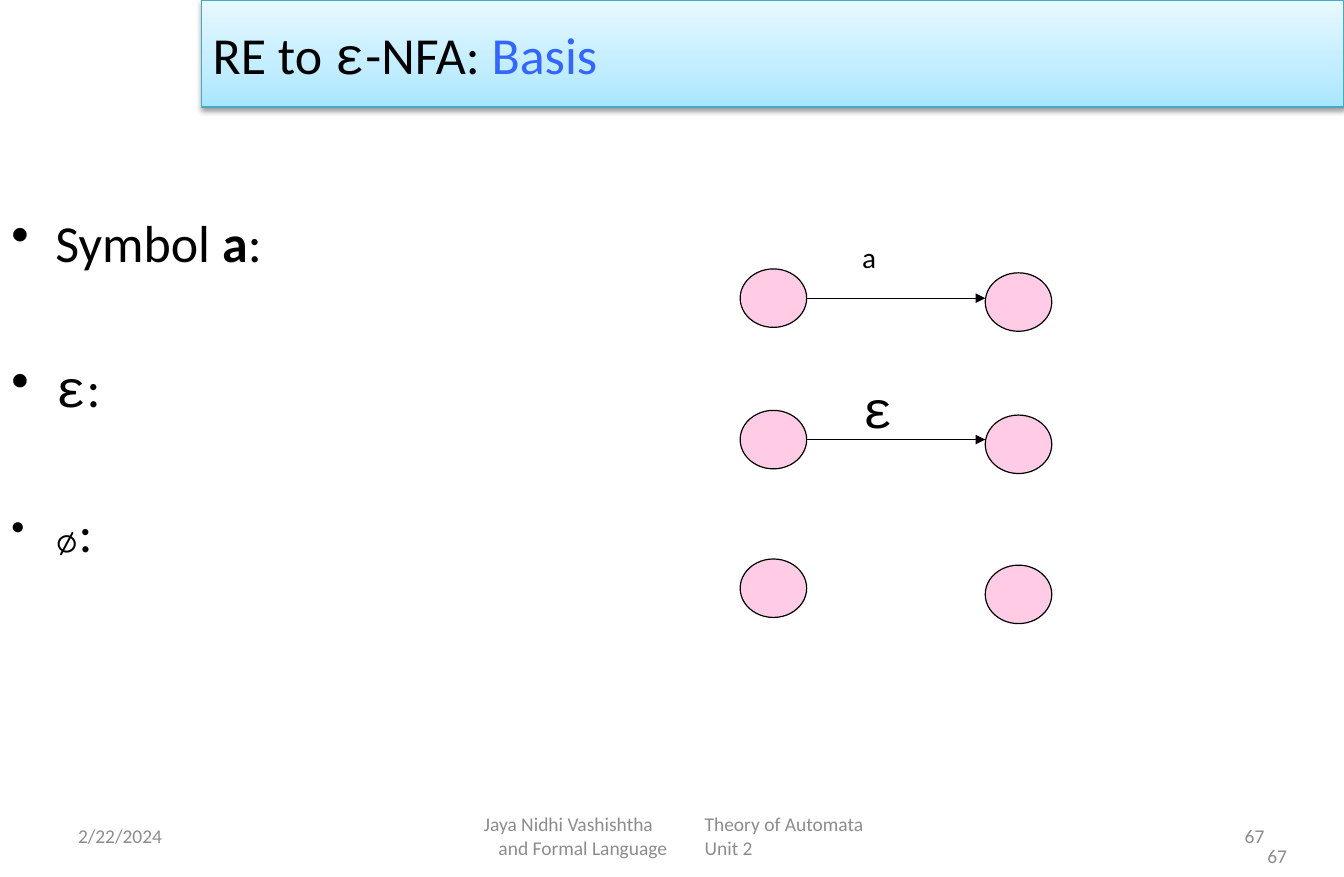
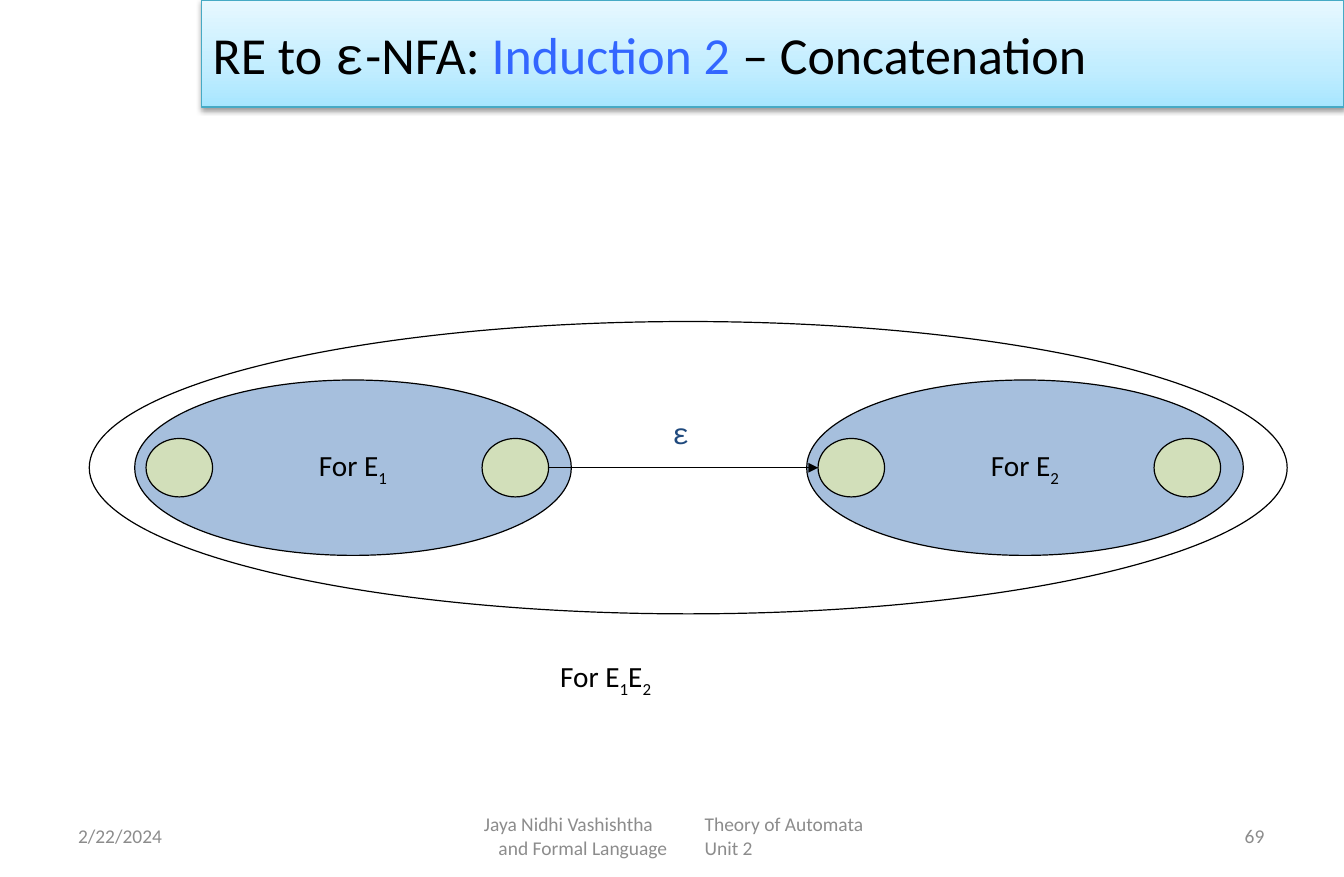
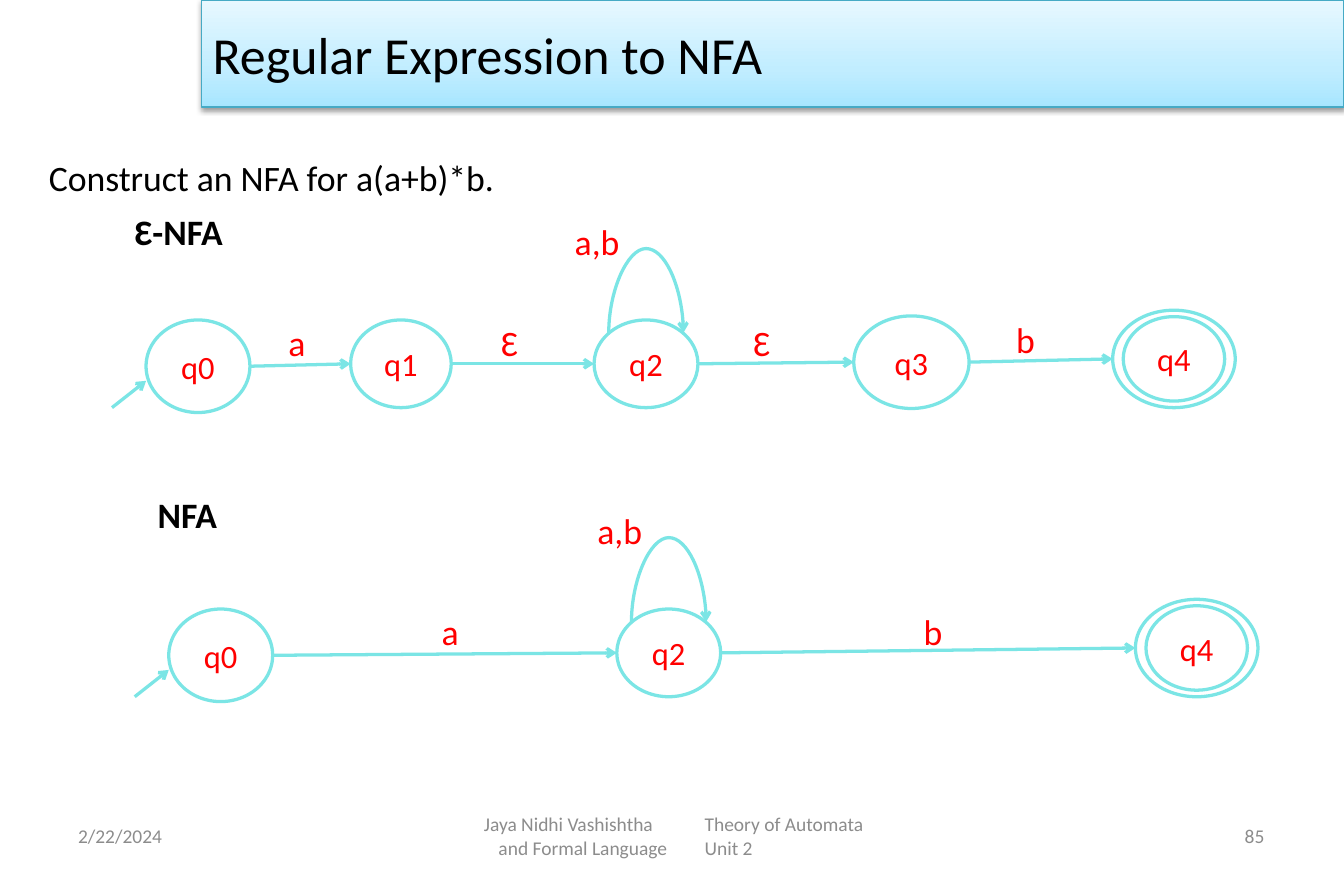
"""Three slides on turning regular expressions into finite automata."""
from lxml import etree
from copy import deepcopy
from itertools import pairwise
from pptx import Presentation
from pptx import util as u
from pptx.dml.color import RGBColor
from pptx.enum import shapes, text
from pptx.oxml.ns import qn

BLACK = RGBColor(0x00, 0x00, 0x00)
GREY = RGBColor(0x8C, 0x8C, 0x8C)
BLUE = RGBColor(0x33, 0x66, 0xFF)
NAVY = RGBColor(0x1F, 0x49, 0x7D)
RED = RGBColor(0xFF, 0x00, 0x00)
CYAN = RGBColor(0x7B, 0xE5, 0xE5)
PINK = RGBColor(0xFF, 0x99, 0xCC)
STEEL = RGBColor(0x4F, 0x81, 0xBD)
YELLOW = RGBColor(0xFF, 0xFF, 0x99)
BAND_EDGE = RGBColor(0x46, 0xAA, 0xC5)
BAND_STOPS = (
    (0, RGBColor(0xA7, 0xE6, 0xFF)),
    (0.35, RGBColor(0xC1, 0xED, 0xFF)),
    (1, RGBColor(0xE7, 0xF8, 0xFF)),
)
MONO = {"font": "Courier New"}
SUB = {"baseline": -25}
NODE = (41, 36)
ALIGN = text.PP_ALIGN
MIDDLE = text.MSO_ANCHOR.MIDDLE


def add_span(para, content, size=18, color=BLACK, font="Calibri", bold=False, baseline=0):
    """Add one formatted run to a paragraph."""
    span = para.add_run()
    span.text = content
    span.font.size = u.Pt(size)
    span.font.color.rgb = color
    span.font.name = font
    span.font.bold = bold
    if baseline:
        span.font._element.set("baseline", str(baseline * 1000))


def write(para, content, align=ALIGN.LEFT, **style):
    """Fill a paragraph from a string or from (text, changes) pairs."""
    para.alignment = align
    spans = [(content, {})] if isinstance(content, str) else content
    for words, changes in spans:
        add_span(para, words, **{**style, **changes})


def indent(para, margin, first):
    """Set the left margin and first-line indent, and return the properties."""
    props = para._p.get_or_add_pPr()
    props.set("marL", str(u.Pt(margin)))
    props.set("indent", str(u.Pt(first)))
    return props


class Slides:
    """Holds the deck, its style and the current slide."""

    def __init__(self):
        """Start an empty deck."""
        self.deck = Presentation()
        self.deck.slide_width, self.deck.slide_height = u.Pt(828), u.Pt(540)
        self.page = None

    def new_page(self, title, number):
        """Add a slide with its title band and footer."""
        self.page = self.deck.slides.add_slide(self.deck.slide_layouts[6])
        self.band(title)
        self.label("2/22/2024", 41, 500, 193, 29, anchor=MIDDLE, size=12, color=GREY)
        self.footer()
        self.number(number, 593, 500)

    def shape(self, kind, x, y, width, height, line=BLACK, weight=0.75):
        """Add a preset shape without fill or shadow."""
        box = self.page.shapes.add_shape(kind, *map(u.Pt, (x, y, width, height)))
        box.shadow.inherit = False
        box.fill.background()
        box.line.color.rgb = line
        box.line.width = u.Pt(weight)
        box.text_frame.vertical_anchor = MIDDLE
        return box

    def band(self, title):
        """Draw the gradient title band."""
        box = self.shape(shapes.MSO_SHAPE.RECTANGLE, 124, 0, 704, 66, line=BAND_EDGE)
        box.fill.gradient()
        box.fill.gradient_angle = 90
        props = box._element.spPr
        stops = props.find(".//" + qn("a:gsLst"))
        stops.append(deepcopy(stops[0]))
        for stop, (position, color) in zip(box.fill.gradient_stops, BAND_STOPS):
            stop.position = position
            stop.color.rgb = color
        shadow = etree.SubElement(
            props.find(qn("a:effectLst")), qn("a:outerShdw"), blurRad=str(u.Pt(3.1)),
            dist=str(u.Pt(1.6)), dir="5400000", rotWithShape="0")
        shade = etree.SubElement(shadow, qn("a:srgbClr"), val=str(BLACK))
        etree.SubElement(shade, qn("a:alpha"), val="38000")
        write(box.text_frame.paragraphs[0], title, size=32)

    def label(self, content, x, y, width, height=29, anchor=text.MSO_ANCHOR.TOP, **style):
        """Add a text box with one paragraph."""
        box = self.page.shapes.add_textbox(*map(u.Pt, (x, y, width, height)))
        box.text_frame.word_wrap = True
        box.text_frame.vertical_anchor = anchor
        write(box.text_frame.paragraphs[0], content, **style)
        return box

    def number(self, value, x, y):
        """Add a page number."""
        self.label(value, x, y, 193, anchor=MIDDLE, align=ALIGN.RIGHT, size=12, color=GREY)

    def footer(self):
        """Add the two-line footer in two columns."""
        frame = self.label([], 283, 500, 262, anchor=MIDDLE).text_frame
        rows = (("Jaya Nidhi Vashishtha\tTheory of Automata", 8),
                ("and Formal Language\tUnit 2", 17))
        for row, (content, first) in enumerate(rows):
            para = frame.add_paragraph() if row else frame.paragraphs[0]
            tabs = etree.SubElement(indent(para, 0, first), qn("a:tabLst"))
            etree.SubElement(tabs, qn("a:tab"), pos=str(u.Pt(142)), algn="l")
            write(para, content, size=12, color=GREY)

    def bullets(self, items, x, y, width, height, gap, size):
        """Add a bulleted list with a gap between items."""
        frame = self.label([], x, y, width, height).text_frame
        for row, item in enumerate(items):
            para = frame.add_paragraph() if row else frame.paragraphs[0]
            etree.SubElement(indent(para, 27, -27), qn("a:buChar"), char="•")
            if row:
                para.space_before = u.Pt(gap)
            write(para, item, size=size)

    def ellipse(self, x, y, width, height, fill=None, content=None, wrap=True, size=18,
                color=BLACK, **outline):
        """Add an ellipse, half transparent if filled, with centred text."""
        box = self.shape(shapes.MSO_SHAPE.OVAL, x, y, width, height, **outline)
        if fill is not None:
            box.fill.solid()
            box.fill.fore_color.rgb = fill
            tint = box._element.spPr.find(qn("a:solidFill"))[0]
            etree.SubElement(tint, qn("a:alpha"), val="50000")
        if content:
            box.text_frame.word_wrap = wrap
            write(box.text_frame.paragraphs[0], content, align=ALIGN.CENTER, size=size, color=color)

    def arrow(self, start, end, color=BLACK, weight=0.75, head="triangle",
              kind=shapes.MSO_CONNECTOR.STRAIGHT):
        """Add a connector with an arrowhead at its end."""
        link = self.page.shapes.add_connector(kind, *map(u.Pt, (*start, *end)))
        link.line.color.rgb = color
        link.line.width = u.Pt(weight)
        props = link._element.spPr
        etree.SubElement(props.find(qn("a:ln")), qn("a:tailEnd"), type=head)
        etree.SubElement(props, qn("a:effectLst"))
        return link

    def loop(self, x, y, span, rise, **style):
        """Add a curved arrow that rises from (x, y) and lands span to the right."""
        thin = 0.12
        left, top = x + span / 2 - thin / 2, y - span / 2
        link = self.arrow((left, top), (left + thin, top + span),
                          kind=shapes.MSO_CONNECTOR.CURVE, **style)
        props = link._element.spPr
        frame = props.find(qn("a:xfrm"))
        for name, value in (("rot", "5400000"), ("flipH", "1"), ("flipV", "1")):
            frame.set(name, value)
        shape = props.find(qn("a:prstGeom"))
        shape.set("prst", "curvedConnector3")
        guides = shape.find(qn("a:avLst"))
        if guides is None:
            guides = etree.SubElement(shape, qn("a:avLst"))
        etree.SubElement(guides, qn("a:gd"), name="adj1", fmla=f"val {round(rise / thin * 100000)}")

    def automaton(self, names, labels, dx=0, dy=0):
        """Draw a chain of states with its arrows, self-loop and labels."""
        outline = {"line": CYAN, "weight": 2}
        stroke = {"color": CYAN, "weight": 2, "head": "arrow"}
        states = {name: (x + dx, y + dy, width, height)
                  for name, (x, y, width, height) in STATES.items()}
        for name in names:
            self.ellipse(*states[name], content=name, size=20, color=RED, **outline)
        x, y, width, height = states["q4"]
        self.ellipse(x + 6.5, y + 4, width - 13, height - 8, **outline)
        for first, second in pairwise(names):
            x, y, width, height = states[first]
            left, top, _, tall = states[second]
            self.arrow((x + width, y + height / 2), (left, top + tall / 2), **stroke)
        x, y, _, _ = states["q0"]
        self.arrow((x - 21, y + 54), (x, y + 37.5), **stroke)
        x, y, width, _ = states["q2"]
        self.loop(x + 9, y + 8, width - 18, 55, **stroke)
        for content, x, y in (*labels, ("a,b", 347, 132)):
            self.label(content, x + dx, y + dy, 56, 34, size=22, color=RED)


STATES = {
    "q0": (90, 197, 64, 57),
    "q1": (216, 197, 62, 54),
    "q2": (366, 197, 64, 54),
    "q3": (526, 194.5, 71, 57),
    "q4": (685.5, 191, 75.5, 60),
}


def nfa_title(*rest):
    """Return the title spans shared by the conversion slides."""
    return [("RE to ", {}), ("ε", MONO), ("-NFA: ", {}), *rest]


def basis(slides):
    """Build the slide on the basis cases."""
    slides.new_page(nfa_title(("Basis", {"color": BLUE})), "67")
    slides.number("67", 607, 512.6)
    slides.bullets([
        [("Symbol ", {}), ("a", {"bold": True}), (":", {})],
        [("ε", MONO), (":", {})],
        [("∅", {**MONO, "size": 24}), (":", {})],
    ], 0, 126, 745, 356, gap=51, size=32)
    for left_top, right_top in ((165.6, 168), (252.7, 255.6), (344.2, 348)):
        slides.ellipse(456, left_top, *NODE, fill=PINK)
        slides.ellipse(607, right_top, *NODE, fill=PINK)
    for y in (183.6, 270.7):
        slides.arrow((497, y), (607, y))
    slides.label("a", 524, 144, 24)
    slides.label("ε", 524, 228, 36, 46, size=32, **MONO)


def concatenation(slides):
    """Build the slide on concatenation."""
    slides.new_page(nfa_title(("Induction 2", {"color": BLUE}), (" – Concatenation", {})), "69")
    for index, x in (("1", 83), ("2", 497)):
        slides.ellipse(x, 234, 269, 108, fill=STEEL, content=[("For E", {}), (index, SUB)], wrap=False)
        for offset in (7, 214):
            slides.ellipse(x + offset, 270, *NODE, fill=YELLOW)
    slides.ellipse(55, 198, 738, 180)
    slides.label([("For E", {}), ("1", SUB), ("E", {}), ("2", SUB)], 338, 402, 90)
    slides.arrow((338, 288), (504, 288))
    slides.label("ε", 407, 252, 26, color=NAVY, **MONO)


def example(slides):
    """Build the worked example."""
    slides.new_page("Regular Expression to NFA", "85")
    slides.label("Construct an NFA for a(a+b)*b.", 23, 64, 745, 90, anchor=MIDDLE, size=22)
    for content, x, y in (("Ɛ-NFA", 76, 122.4), ("NFA", 90, 296.6)):
        slides.label(content, x, y, 96, 40, anchor=MIDDLE, size=22, bold=True)
    slides.automaton(
        ["q0", "q1", "q2", "q3", "q4"],
        [("a", 170.6, 194), ("Ɛ", 301.7, 194), ("Ɛ", 457, 194), ("b", 619, 192)])
    slides.automaton(["q0", "q2", "q4"], [("a", 251, 194), ("b", 548, 194)], dx=14, dy=178)


def main():
    """Build and save the deck."""
    slides = Slides()
    for build in (basis, concatenation, example):
        build(slides)
    slides.deck.save("out.pptx")


if __name__ == "__main__":
    main()
